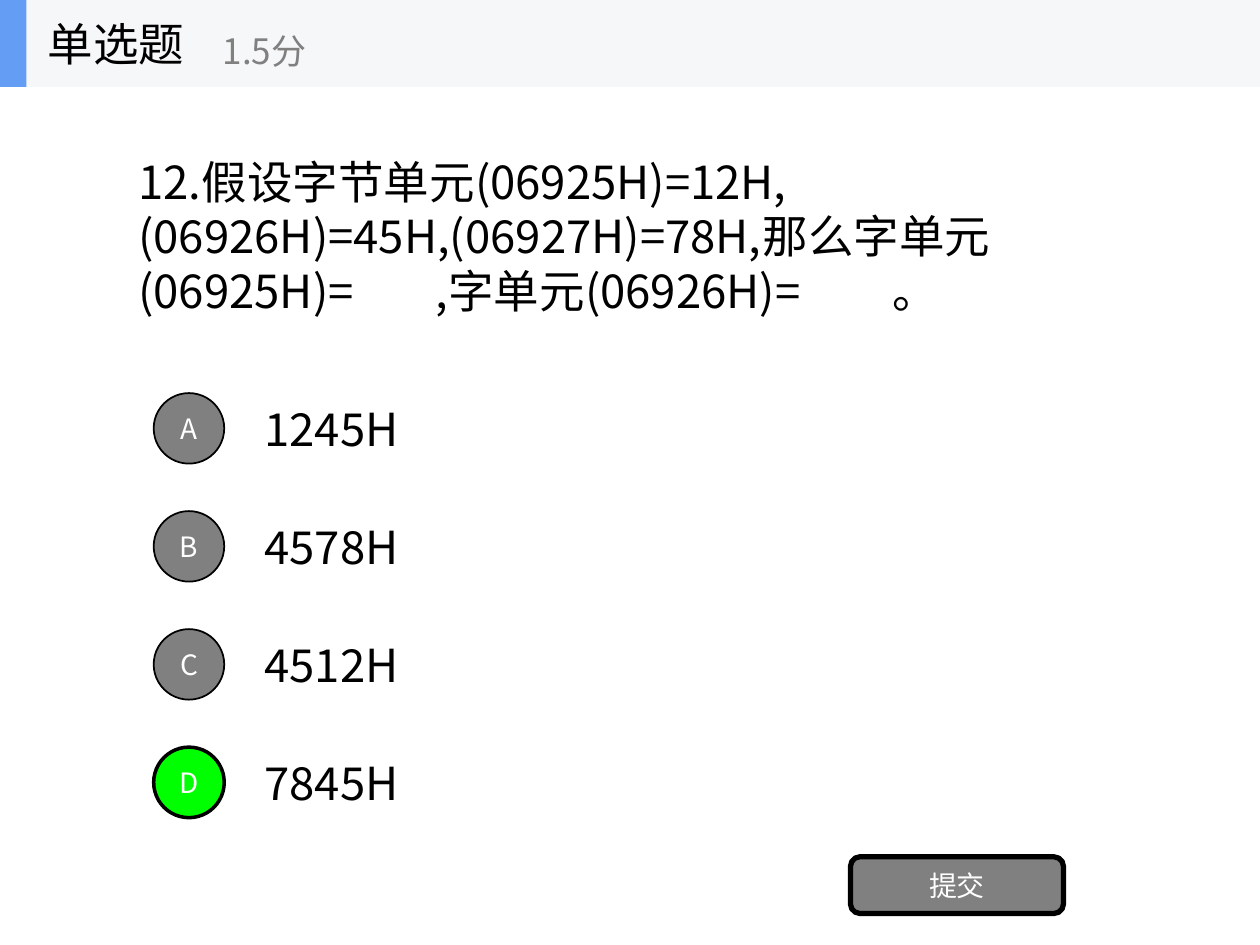
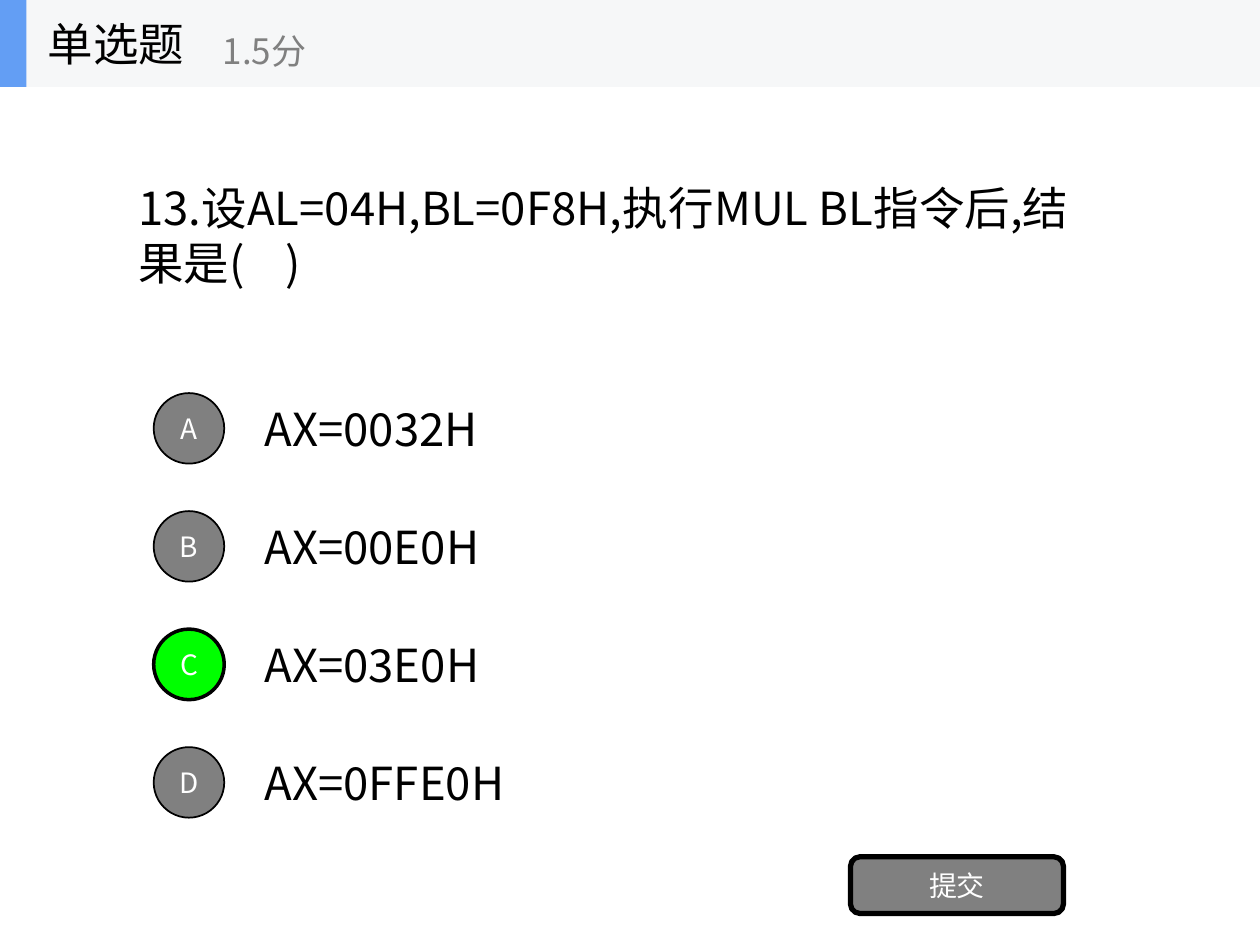
"""Build two single-choice quiz slides with a shared header, options and submit button."""
from lxml import etree
from pptx import Presentation
from pptx import util as u
from pptx.dml.color import RGBColor
from pptx.enum import shapes, text
from pptx.oxml import ns

FONT = "Noto Sans CJK SC"
BLACK = RGBColor(0x00, 0x00, 0x00)
WHITE = RGBColor(0xFF, 0xFF, 0xFF)
GRAY = RGBColor(0x80, 0x80, 0x80)
GREEN = RGBColor(0x00, 0xFF, 0x00)
BAND = RGBColor(0xF6, 0xF7, 0xF8)
BLUE = RGBColor(0x63, 0x9E, 0xF4)

BAND_H = 0.69
CIRCLE = 0.56
FIRST_TOP, LAST_TOP = 3.12, 5.93
FRAME = {
    "word_wrap": True,
    "auto_size": text.MSO_AUTO_SIZE.NONE,
    "vertical_anchor": text.MSO_ANCHOR.MIDDLE,
    "margin_left": u.Inches(0.1),
    "margin_right": u.Inches(0.1),
    "margin_top": u.Inches(0.05),
    "margin_bottom": u.Inches(0.05),
}

QUESTIONS = [
    {
        "stem": "12.假设字节单元(06925H)=12H,(06926H)=45H,(06927H)=78H,"
                "那么字单元(06925H)=        ,字单元(06926H)=         。",
        "box": (1, 1.17, 7.74, 1.4),
        "options": [("1245H", 1.43), ("4578H", 1.43), ("4512H", 1.43), ("7845H", 1.43)],
        "answer": "D",
    },
    {
        "stem": "13.设AL=04H,BL=0F8H,执行MUL BL指令后,结果是(    )",
        "box": (1, 1.38, 7.81, 0.97),
        "options": [("AX=0032H", 2.19), ("AX=00E0H", 2.17),
                    ("AX=03E0H", 2.17), ("AX=0FFE0H", 2.35)],
        "answer": "C",
    },
]


def write(sp, words, size, color, align=text.PP_ALIGN.LEFT):
    tf = sp.text_frame
    for name, value in FRAME.items():
        setattr(tf, name, value)
    p = tf.paragraphs[0]
    p.alignment = align
    r = p.add_run()
    r.text = words
    for name, value in {"name": FONT, "size": u.Pt(size), "bold": False}.items():
        setattr(r.font, name, value)
    r.font.color.rgb = color
    etree.SubElement(r._r.get_or_add_rPr(), ns.qn("a:ea"), typeface=FONT)


def add_block(s, kind, box, fill, line=0):
    sp = s.shapes.add_shape(kind, *map(u.Inches, box))
    sp.shadow.inherit = False
    sp.fill.solid()
    sp.fill.fore_color.rgb = fill
    if line:
        sp.line.color.rgb = BLACK
        sp.line.width = u.Pt(line)
    else:
        sp.line.fill.background()
    return sp


prs = Presentation()
prs.slide_width, prs.slide_height = u.Inches(10), u.Inches(7.5)
kinds = shapes.MSO_SHAPE

for q in QUESTIONS:
    s = prs.slides.add_slide(prs.slide_layouts[5])

    title = s.shapes.title
    for width, color in ((10, BAND), (0.21, BLUE)):
        band = add_block(s, kinds.RECTANGLE, (0, 0, width, BAND_H), color)
        title.element.addprevious(band.element)
    title.left, title.top, title.width, title.height = map(u.Inches, (0.28, 0, 2.08, BAND_H))
    write(title, "单选题", 26, BLACK)

    score = s.shapes.add_textbox(*map(u.Inches, (1.67, 0.12, 2.5, 0.56)))
    write(score, "1.5分", 20, GRAY)

    stem = s.shapes.add_textbox(*map(u.Inches, q["box"]))
    write(stem, q["stem"], 26, BLACK)

    step = (LAST_TOP - FIRST_TOP) / (len(q["options"]) - 1)
    for i, (letter, (words, width)) in enumerate(zip("ABCD", q["options"])):
        top = FIRST_TOP + i * step
        option = s.shapes.add_textbox(*map(u.Inches, (2, top + 0.01, width, 0.54)))
        write(option, words, 26, BLACK)
        fill, line = (GREEN, 2) if letter == q["answer"] else (GRAY, 1)
        circle = add_block(s, kinds.OVAL, (1.22, top, CIRCLE, CIRCLE), fill, line)
        write(circle, letter, 16, WHITE, text.PP_ALIGN.CENTER)

    submit = add_block(s, kinds.ROUNDED_RECTANGLE, (6.75, 6.8, 1.69, 0.45), GRAY, 3)
    write(submit, "提交", 16, WHITE, text.PP_ALIGN.CENTER)

prs.save("out.pptx")
